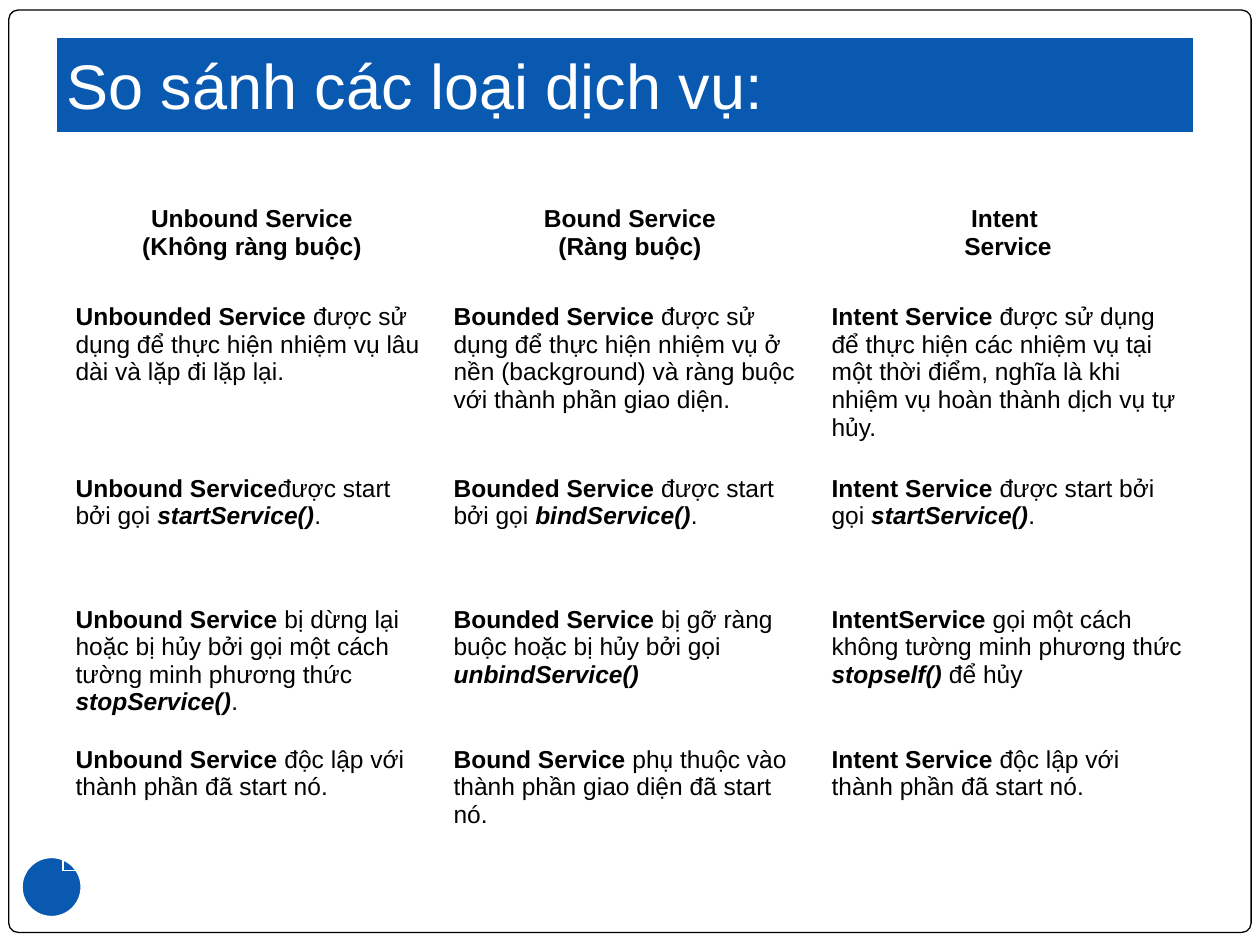
import pptx
import pptx.dml.color
import pptx.enum.shapes
import pptx.enum.text
import pptx.util

Inches = pptx.util.Inches
Pt = pptx.util.Pt
RGBColor = pptx.dml.color.RGBColor
MSO_SHAPE = pptx.enum.shapes.MSO_SHAPE
MSO_ANCHOR = pptx.enum.text.MSO_ANCHOR
PP_ALIGN = pptx.enum.text.PP_ALIGN

WHITE = RGBColor(0xFF, 0xFF, 0xFF)
BLACK = RGBColor(0x00, 0x00, 0x00)
BLUE = RGBColor(0x0A, 0x59, 0xB0)

TITLE = "So sánh các loại dịch vụ:"
HEADERS = [
    ("Unbound Service", "(Không ràng buộc)"),
    ("Bound Service", "(Ràng buộc)"),
    ("Intent ", "Service"),
]
# The parts of a cell are, in turn: service name, text, method name, text.
PART_STYLES = [{"bold": True}, {}, {"bold": True, "italic": True}, {}]
ROWS = [
    [
        ("Unbounded Service ", "được sử dụng để thực hiện nhiệm vụ lâu dài và lặp đi lặp lại."),
        ("Bounded Service", " được sử dụng để thực hiện nhiệm vụ ở nền (background) "
                            "và ràng buộc với thành phần giao diện."),
        ("Intent Service", " được sử dụng để thực hiện các nhiệm vụ tại một thời điểm, "
                           "nghĩa là khi nhiệm vụ hoàn thành dịch vụ tự hủy."),
    ],
    [
        ("Unbound Service", "được start bởi gọi ", "startService()", "."),
        ("Bounded Service", " được start bởi gọi ", "bindService()", "."),
        ("Intent Service", " được start bởi gọi ", "startService()", "."),
    ],
    [
        ("Unbound Service", " bị dừng lại hoặc bị hủy bởi gọi một cách tường minh phương thức ",
         "stopService()", "."),
        ("Bounded Service", " bị gỡ ràng buộc hoặc bị hủy bởi gọi ", "unbindService()"),
        ("IntentService", " gọi một cách không tường minh phương thức ", "stopself()", " để hủy"),
    ],
    [
        ("Unbound Service ", "độc lập với thành phần đã start nó."),
        ("Bound Service", " phụ thuộc vào thành phần giao diện đã start nó."),
        ("Intent Service", " độc lập với thành phần đã start nó."),
    ],
]
COL_WIDTH = 3
ROW_HEIGHTS = [0.78, 1.36, 1.04, 1.11, 1.04]


def add_text(p, text, size=14, color=BLACK, bold=False, italic=False, font="Arial"):
    r = p.add_run()
    r.text = text
    r.font.name = font
    r.font.size = Pt(size)
    r.font.color.rgb = color
    r.font.bold = bold
    r.font.italic = italic


class SlideBuilder:
    """Holds the current slide and its style."""

    def __init__(self, s, accent=BLUE):
        self.s = s
        self.accent = accent

    def shape(self, kind, x, y, w, h, fill=None, line=WHITE, weight=3):
        sp = self.s.shapes.add_shape(kind, Inches(x), Inches(y), Inches(w), Inches(h))
        sp.shadow.inherit = False
        sp.fill.solid()
        sp.fill.fore_color.rgb = fill or self.accent
        sp.line.color.rgb = line
        sp.line.width = Pt(weight)
        return sp

    def frame(self):
        sp = self.shape(MSO_SHAPE.ROUNDED_RECTANGLE, 0.07, 0.08, 9.86, 7.32,
                        fill=WHITE, line=BLACK, weight=0.75)
        sp.adjustments[0] = 0.01

    def title(self, text):
        tf = self.shape(MSO_SHAPE.RECTANGLE, 0.43, 0.28, 9.06, 0.79).text_frame
        tf.word_wrap = True
        tf.vertical_anchor = MSO_ANCHOR.BOTTOM
        tf.margin_bottom = Inches(0.1)
        p = tf.paragraphs[0]
        p.alignment = PP_ALIGN.LEFT
        add_text(p, text, size=36, color=WHITE)

    def page_dot(self):
        self.shape(MSO_SHAPE.OVAL, 0.16, 6.79, 0.5, 0.5)

    def table(self, x, y, headers, rows):
        table = self.s.shapes.add_table(
            len(rows) + 1, len(headers), Inches(x), Inches(y),
            Inches(COL_WIDTH * len(headers)), Inches(sum(ROW_HEIGHTS))).table
        table.first_row = table.horz_banding = False
        for col in table.columns:
            col.width = Inches(COL_WIDTH)
        for row, height in zip(table.rows, ROW_HEIGHTS):
            row.height = Inches(height)
        for cell in table.iter_cells():
            cell.fill.background()

        for c, (first, second) in enumerate(headers):
            p = table.cell(0, c).text_frame.paragraphs[0]
            p.alignment = PP_ALIGN.CENTER
            add_text(p, first, bold=True)
            p.add_line_break()
            add_text(p, second, bold=True)
        for r, row in enumerate(rows, 1):
            for c, parts in enumerate(row):
                p = table.cell(r, c).text_frame.paragraphs[0]
                for text, style in zip(parts, PART_STYLES):
                    add_text(p, text, **style)


def main():
    prs = pptx.Presentation()
    prs.slide_width = Inches(10)
    prs.slide_height = Inches(7.5)
    builder = SlideBuilder(prs.slides.add_slide(prs.slide_layouts[6]))
    builder.frame()
    builder.title(TITLE)
    builder.page_dot()
    builder.table(0.5, 1.58, HEADERS, ROWS)
    prs.save("out.pptx")


if __name__ == "__main__":
    main()
